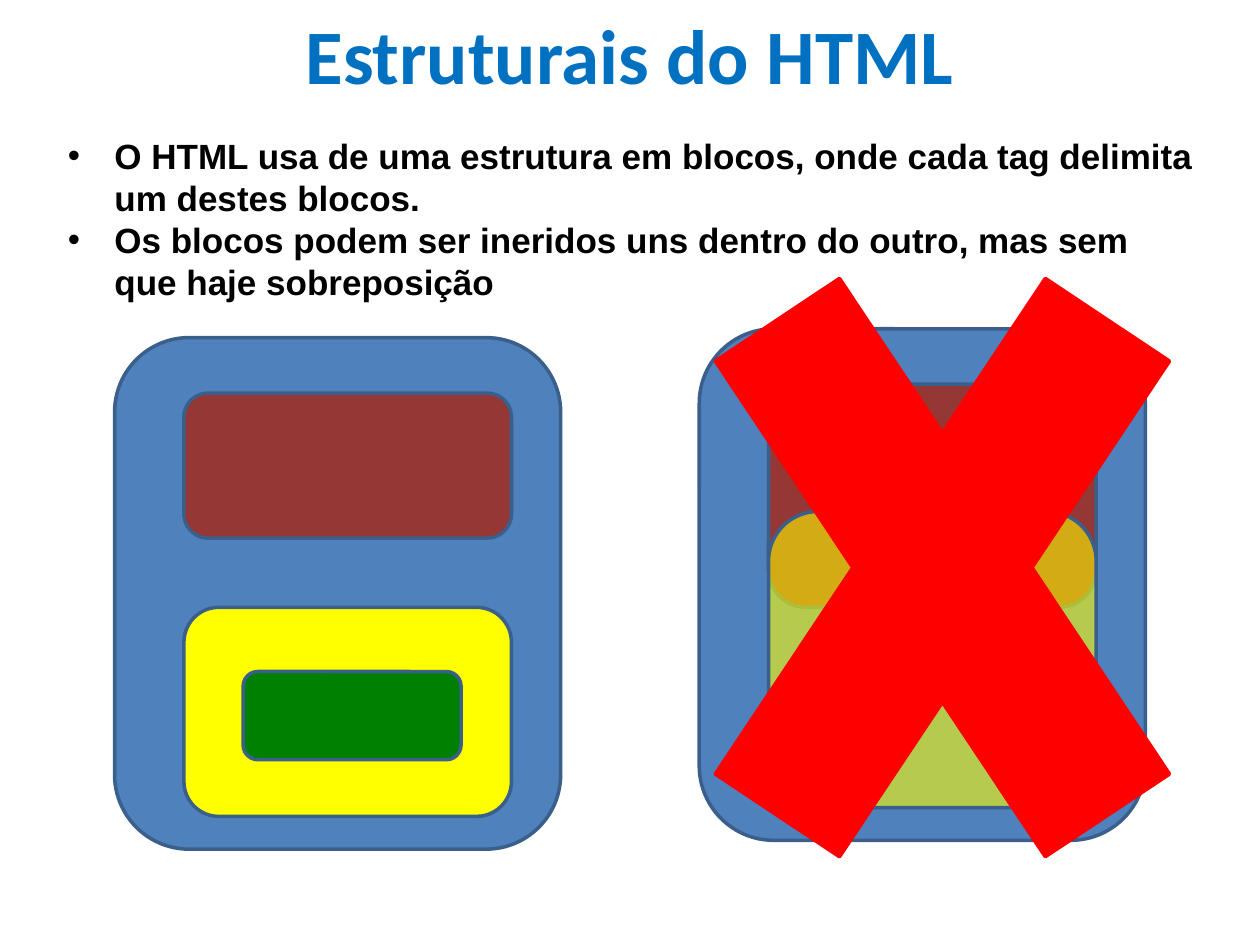
from dataclasses import dataclass
from lxml.etree import SubElement
from pptx import Presentation
from pptx.dml.color import RGBColor
from pptx.enum.shapes import MSO_SHAPE as Shape
from pptx.enum.text import MSO_ANCHOR as Anchor, PP_ALIGN as Align
from pptx.oxml.ns import qn
from pptx.util import Inches, Pt


@dataclass(frozen=True)
class Theme:
    title: str = "0070C0"
    text: str = "000000"
    blue: str = "4F81BD"
    maroon: str = "953735"
    yellow: str = "FFFF00"
    green: str = "008000"
    red: str = "FF0000"
    outline: str = "3A5F8B"
    title_size: int = 44
    text_size: int = 20


theme = Theme()
deck = Presentation()
deck.slide_width, deck.slide_height = Inches(10), Inches(7.5)
page = deck.slides.add_slide(deck.slide_layouts[6])


def add_text(bounds, lines, font, size, color):
    box = page.shapes.add_textbox(*map(Inches, bounds))
    frame = box.text_frame
    frame.word_wrap = True
    frame.text = "\n".join(lines)
    for para in frame.paragraphs:
        for span in para.runs:
            span.font.name = font
            span.font.size = Pt(size)
            span.font.bold = True
            span.font.color.rgb = RGBColor.from_string(color)
    return frame


def add_block(kind, bounds, adjustment, fill, line):
    block = page.shapes.add_shape(kind, *map(Inches, bounds))
    block.adjustments[0] = adjustment
    block.shadow.inherit = False
    block.fill.solid()
    block.fill.fore_color.rgb = RGBColor.from_string(fill)
    block.line.color.rgb = RGBColor.from_string(line)
    block.line.width = Pt(2)
    return block


bullets = add_text(
    (0.43, 1.02, 9.14, 1.43),
    [
        "O HTML usa de uma estrutura em blocos, onde cada tag delimita um destes blocos.",
        "Os blocos podem ser ineridos uns dentro do outro, mas sem que haje sobreposição",
    ],
    "Arial", theme.text_size, theme.text,
)
for para in bullets.paragraphs:
    properties = para._p.get_or_add_pPr()
    properties.set("marL", str(Inches(0.38)))
    properties.set("indent", str(Inches(-0.37)))
    SubElement(properties, qn("a:buFont")).set("typeface", "Arial")
    SubElement(properties, qn("a:buChar")).set("char", "•")

title = add_text((0, 0, 10, 0.86), ["Estruturais do HTML"], "Calibri", theme.title_size, theme.title)
title.vertical_anchor = Anchor.MIDDLE
title.paragraphs[0].alignment = Align.CENTER

blocks = [
    ((0.91, 2.68, 3.54, 4.06), theme.blue),
    ((1.46, 3.12, 2.6, 1.15), theme.maroon),
    ((1.46, 4.82, 2.6, 1.66), theme.yellow),
    ((1.93, 5.33, 1.73, 0.7), theme.green),
    ((5.55, 2.61, 3.54, 4.06), theme.blue),
    ((6.1, 3.05, 2.6, 1.77), theme.maroon),
    ((6.1, 4.06, 2.6, 2.35), theme.yellow),
]
for bounds, fill in blocks:
    block = add_block(Shape.ROUNDED_RECTANGLE, bounds, 0.167, fill, theme.outline)

overlap = block
color = overlap.fill._xPr.find(qn("a:solidFill")).find(qn("a:srgbClr"))
SubElement(color, qn("a:alpha")).set("val", "59000")

add_block(Shape.MATH_MULTIPLY, (4.96, 0.72, 5.04, 7.57), 0.235, theme.red, theme.red)

deck.save("out.pptx")
